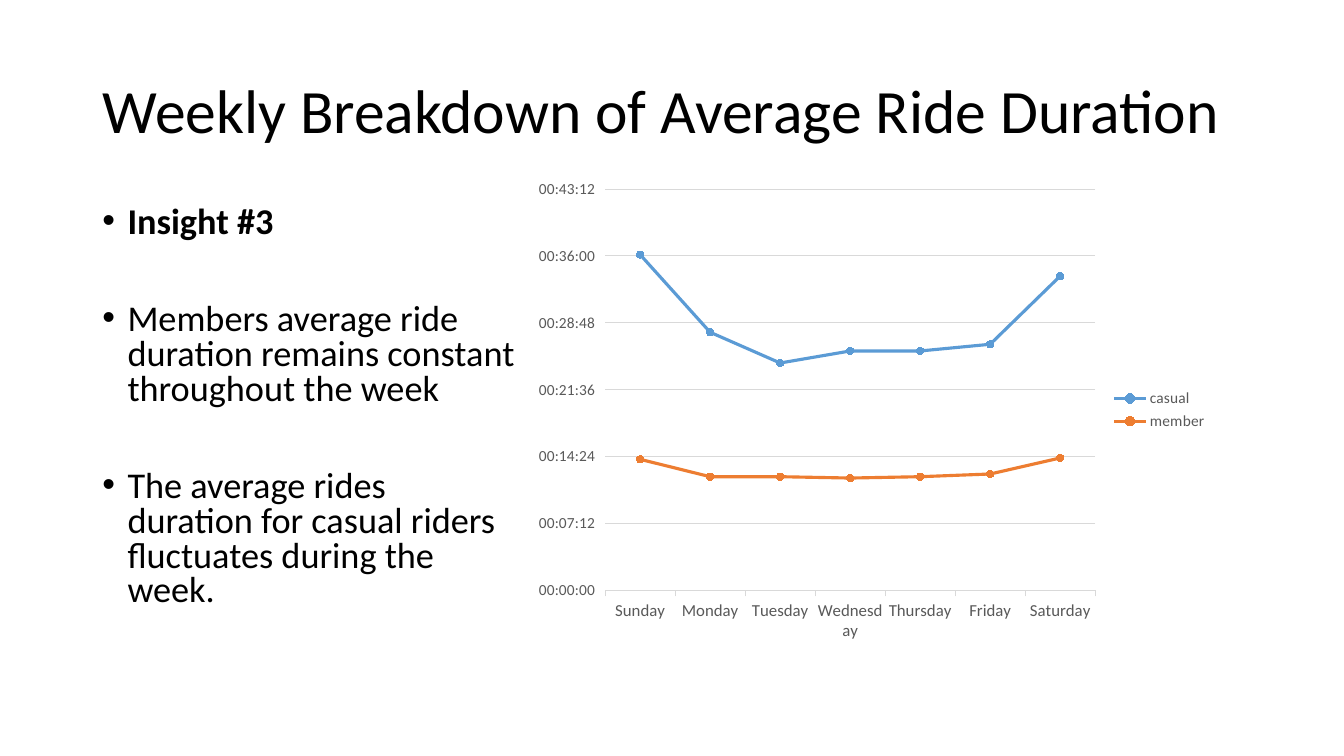
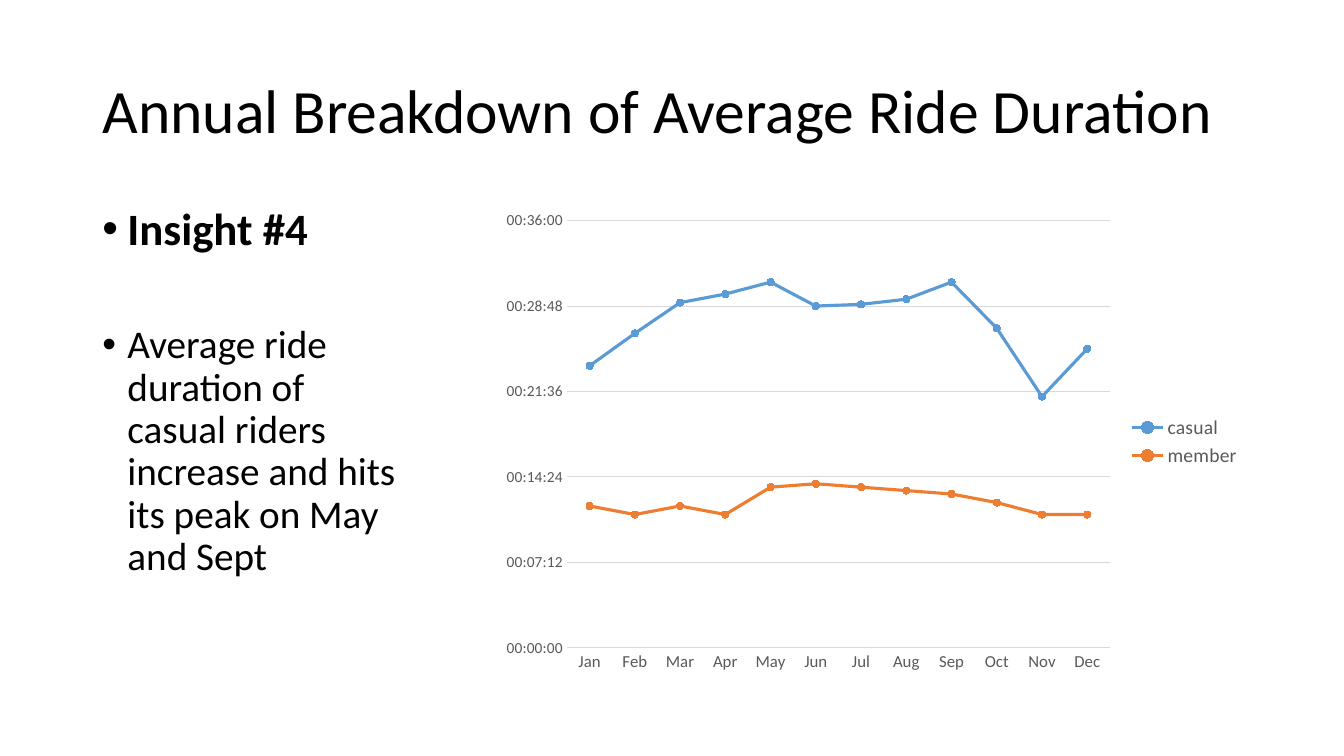
from lxml import etree
from pptx import Presentation
from pptx import util as u
from pptx.chart.data import CategoryChartData
from pptx.dml.color import RGBColor
from pptx.enum import chart as ch, text
from pptx.oxml.ns import qn

# Shared style
PX = 9525
FONT = "Calibri"
COLORS = {"ink": "000000", "label": "595959", "grid": "D9D9D9",
          "casual": "5B9BD5", "member": "ED7D31"}
TITLE_BOX = (88, 39, 1104, 139)
BODY_LEFT, BODY_TOP, BODY_HEIGHT = 88, 192, 457
BULLET_INDENT = 24

# Content: average ride durations are fractions of a day
SLIDES = [
    {"title": "Weekly Breakdown of Average Ride Duration",
     "heading": "Insight #3",
     "points": ["Members average ride duration remains constant throughout the week",
                "The average rides duration for casual riders fluctuates during the week."],
     "body_width": 413, "sizes": (25.9, 25.9), "line_spacing": 0.8, "gap": 44.5,
     "chart_box": (500, 162, 660, 457), "axis_max": 0.03, "legend_size": 11,
     "tick": ch.XL_TICK_MARK.OUTSIDE,
     "periods": ["Sunday", "Monday", "Tuesday", "Wednesday", "Thursday", "Friday", "Saturday"],
     "casual": [0.0251, 0.0193, 0.017, 0.0179, 0.0179, 0.0184, 0.0235],
     "member": [0.0098, 0.0085, 0.0085, 0.0084, 0.0085, 0.0087, 0.0099]},
    {"title": "Annual Breakdown of Average Ride Duration",
     "heading": "Insight #4",
     "points": ["Average ride duration of casual riders increase and hits its peak on May and Sept"],
     "body_width": 310, "sizes": (32, 28), "line_spacing": 0.9, "gap": 50,
     "chart_box": (468, 192, 724, 457), "axis_max": 0.025, "legend_size": 14,
     "tick": ch.XL_TICK_MARK.NONE,
     "periods": ["Jan", "Feb", "Mar", "Apr", "May", "Jun",
                 "Jul", "Aug", "Sep", "Oct", "Nov", "Dec"],
     "casual": [0.0165, 0.0184, 0.0202, 0.0207, 0.0214, 0.02,
                0.0201, 0.0204, 0.0214, 0.0187, 0.0147, 0.0175],
     "member": [0.0083, 0.0078, 0.0083, 0.0078, 0.0094, 0.0096,
                0.0094, 0.0092, 0.009, 0.0085, 0.0078, 0.0078]},
]


def style_font(font, size, color, bold=False):
    font.name, font.size, font.bold = FONT, u.Pt(size), bold
    font.color.rgb = RGBColor.from_string(COLORS[color])


def style_line(line, color, width):
    line.color.rgb = RGBColor.from_string(COLORS[color])
    line.width = u.Pt(width)


prs = Presentation()
prs.slide_width, prs.slide_height = 1280 * PX, 720 * PX

for page in SLIDES:
    slide = prs.slides.add_slide(prs.slide_layouts[5])

    # Title
    title = slide.shapes.title
    title.left, title.top, title.width, title.height = [n * PX for n in TITLE_BOX]
    title.text_frame.text = page["title"]
    title.text_frame.auto_size = text.MSO_AUTO_SIZE.NONE
    title.text_frame.vertical_anchor = text.MSO_ANCHOR.MIDDLE
    headline = title.text_frame.paragraphs[0]
    headline.alignment = text.PP_ALIGN.LEFT
    headline.line_spacing = 0.9
    style_font(headline.runs[0].font, 44, "ink")

    # Insight bullets
    insight = slide.shapes.add_textbox(BODY_LEFT * PX, BODY_TOP * PX,
                                       page["body_width"] * PX, BODY_HEIGHT * PX).text_frame
    insight.word_wrap = True
    insight.text = "\n".join([page["heading"], *page["points"]])
    for i, point in enumerate(insight.paragraphs):
        props = point._p.get_or_add_pPr()
        props.set("marL", str(BULLET_INDENT * PX))
        props.set("indent", str(-BULLET_INDENT * PX))
        etree.SubElement(props, qn("a:buFont")).set("typeface", "Arial")
        etree.SubElement(props, qn("a:buChar")).set("char", "•")
        point.line_spacing = page["line_spacing"]
        if i:
            point.space_before = u.Pt(page["gap"])
        style_font(point.runs[0].font, page["sizes"][min(i, 1)], "ink", bold=i == 0)

    # Ride duration chart
    durations = CategoryChartData(number_format="hh:mm:ss")
    durations.categories = page["periods"]
    for rider in ("casual", "member"):
        durations.add_series(rider, page[rider])
    chart = slide.shapes.add_chart(ch.XL_CHART_TYPE.LINE_MARKERS,
                                   *[n * PX for n in page["chart_box"]], durations).chart
    chart.has_title = False
    style_font(chart.font, 10, "ink")
    chart.plots[0].vary_by_categories = False

    for series in chart.plots[0].series:
        series.smooth = False
        style_line(series.format.line, series.name, 2.25)
        series.marker.style = ch.XL_MARKER_STYLE.CIRCLE
        series.marker.size = 5
        series.marker.format.fill.solid()
        series.marker.format.fill.fore_color.rgb = RGBColor.from_string(COLORS[series.name])
        style_line(series.marker.format.line, series.name, 0.75)

    # Axes, with level labels that wrap instead of tilting
    period_axis, time_axis = chart.category_axis, chart.value_axis
    for axis, size in ((period_axis, 12), (time_axis, 11)):
        axis.major_tick_mark = page["tick"]
        axis.minor_tick_mark = ch.XL_TICK_MARK.NONE
        style_font(axis.tick_labels.font, size, "label")
        label_box = axis._element.find(qn("c:txPr")).find(qn("a:bodyPr"))
        label_box.set("rot", "0")
        label_box.set("vert", "horz")
    style_line(period_axis.format.line, "grid", 0.75)
    time_axis.format.line.fill.background()
    time_axis.minimum_scale, time_axis.maximum_scale = 0, page["axis_max"]
    time_axis.major_unit = 0.005
    time_axis.tick_labels.number_format = "hh:mm:ss"
    time_axis.tick_labels.number_format_is_linked = False
    time_axis.has_major_gridlines = True
    style_line(time_axis.major_gridlines.format.line, "grid", 0.75)

    # Legend
    chart.has_legend = True
    chart.legend.position = ch.XL_LEGEND_POSITION.RIGHT
    chart.legend.include_in_layout = False
    style_font(chart.legend.font, page["legend_size"], "label")

prs.save("out.pptx")
